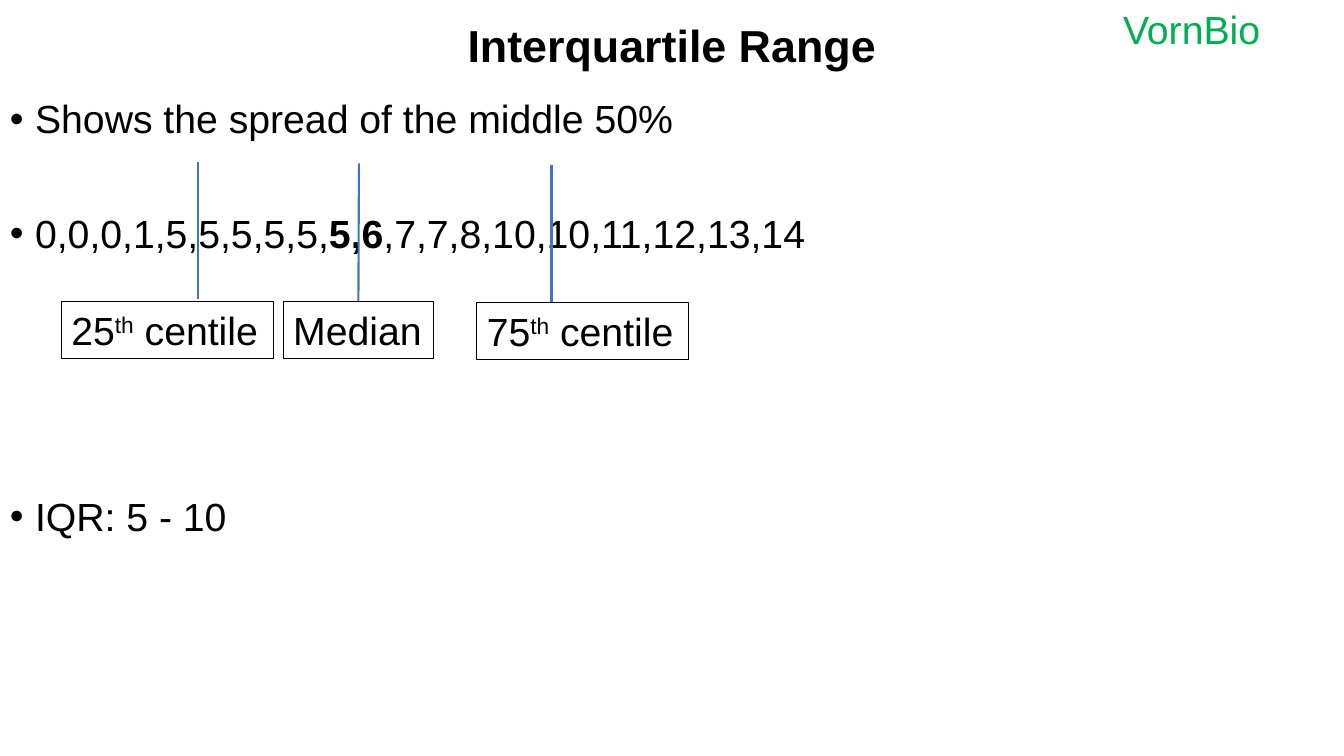
from pptx import Presentation
from pptx.dml.color import RGBColor
from pptx.enum.shapes import MSO_CONNECTOR, MSO_SHAPE
from pptx.enum.text import MSO_ANCHOR, MSO_AUTO_SIZE, PP_ALIGN
from pptx.oxml.ns import qn
from pptx.util import Inches, Pt
from lxml.etree import SubElement

COLORS = {"text": "000000", "brand": "00B050", "marker": "4472C4"}


def add_run(p, text, color="text", size=28, bold=False, superscript=False):
    r = p.add_run()
    r.text = text
    for name, value in {"name": "Arial", "size": Pt(size), "bold": bold}.items():
        setattr(r.font, name, value)
    r.font.color.rgb = RGBColor.from_string(COLORS[color])
    if superscript:
        r.font._element.set("baseline", "30000")


prs = Presentation()
prs.slide_width, prs.slide_height = Inches(13.33), Inches(7.5)
s = prs.slides.add_slide(prs.slide_layouts[5])

# Brand name
sp = s.shapes.add_textbox(Inches(11.04), 0, Inches(1.67), Inches(0.57))
sp.text_frame.word_wrap = False
add_run(sp.text_frame.paragraphs[0], "VornBio", "brand")

# Title
title = s.shapes.title
title.left, title.top, title.width, title.height = (
    0, Inches(0.02), Inches(13.33), Inches(0.92))
title.text_frame.vertical_anchor = MSO_ANCHOR.MIDDLE
title.text_frame.auto_size = MSO_AUTO_SIZE.NONE
p = title.text_frame.paragraphs[0]
p.alignment = PP_ALIGN.CENTER
p.line_spacing = 0.9
add_run(p, "Interquartile Range", size=32, bold=True)

# Bullets: space before in points, then (text, bold) runs
bullets = [
    (10, [("Shows the spread of the middle 50%", False)]),
    (51.5, [("0,0,0,1,5,5,5,5,5,", False), ("5,6", True),
            (",7,7,8,10,10,11,12,13,14", False)]),
    (172, [("IQR: 5 - 10", False)]),
]
sp = s.shapes.add_textbox(0, Inches(0.94), Inches(13.33), Inches(6.54))
tf = sp.text_frame
tf.word_wrap = True
for i, (space, runs) in enumerate(bullets):
    p = tf.add_paragraph() if i else tf.paragraphs[0]
    p.line_spacing = 0.9
    p.space_before = Pt(space)
    pPr = p._p.get_or_add_pPr()
    pPr.set("marL", str(Inches(0.25)))
    pPr.set("indent", str(-Inches(0.25)))
    SubElement(pPr, qn("a:buFont")).set("typeface", "Arial")
    SubElement(pPr, qn("a:buChar")).set("char", "•")
    for text, bold in runs:
        add_run(p, text, bold=bold)

# Quartile markers: box left, top, width, line x, line top, line end, (text, superscript) runs
quartiles = [
    (0.61, 2.99, 2.1, 1.96, 1.61, 2.97, [("25", False), ("th", True), (" centile", False)]),
    (2.81, 2.99, 1.49, 3.56, 1.62, 2.99, [("Median", False)]),
    (4.73, 3, 2.1, 5.47, 1.64, 3, [("75", False), ("th", True), (" centile", False)]),
]
for left, top, width, x, line_top, line_end, runs in quartiles:
    box = s.shapes.add_shape(MSO_SHAPE.RECTANGLE, Inches(left), Inches(top),
                             Inches(width), Inches(0.57))
    box.shadow.inherit = False
    box.fill.background()
    box.line.color.rgb = RGBColor.from_string(COLORS["text"])
    box.line.width = Pt(0.75)
    tf = box.text_frame
    tf.word_wrap = False
    tf.vertical_anchor = MSO_ANCHOR.TOP
    p = tf.paragraphs[0]
    p.alignment = PP_ALIGN.LEFT
    for text, superscript in runs:
        add_run(p, text, superscript=superscript)

    line = s.shapes.add_connector(MSO_CONNECTOR.STRAIGHT, Inches(x), Inches(line_top),
                                  Inches(x), Inches(line_end))
    line.line.color.rgb = RGBColor.from_string(COLORS["marker"])
    line.line.width = Pt(1.5)
    SubElement(line._element.spPr, qn("a:effectLst"))
    # Only the median line meets the middle of its box
    if abs(left + width / 2 - x) < 0.01:
        line.end_connect(box, 0)

prs.save("out.pptx")
